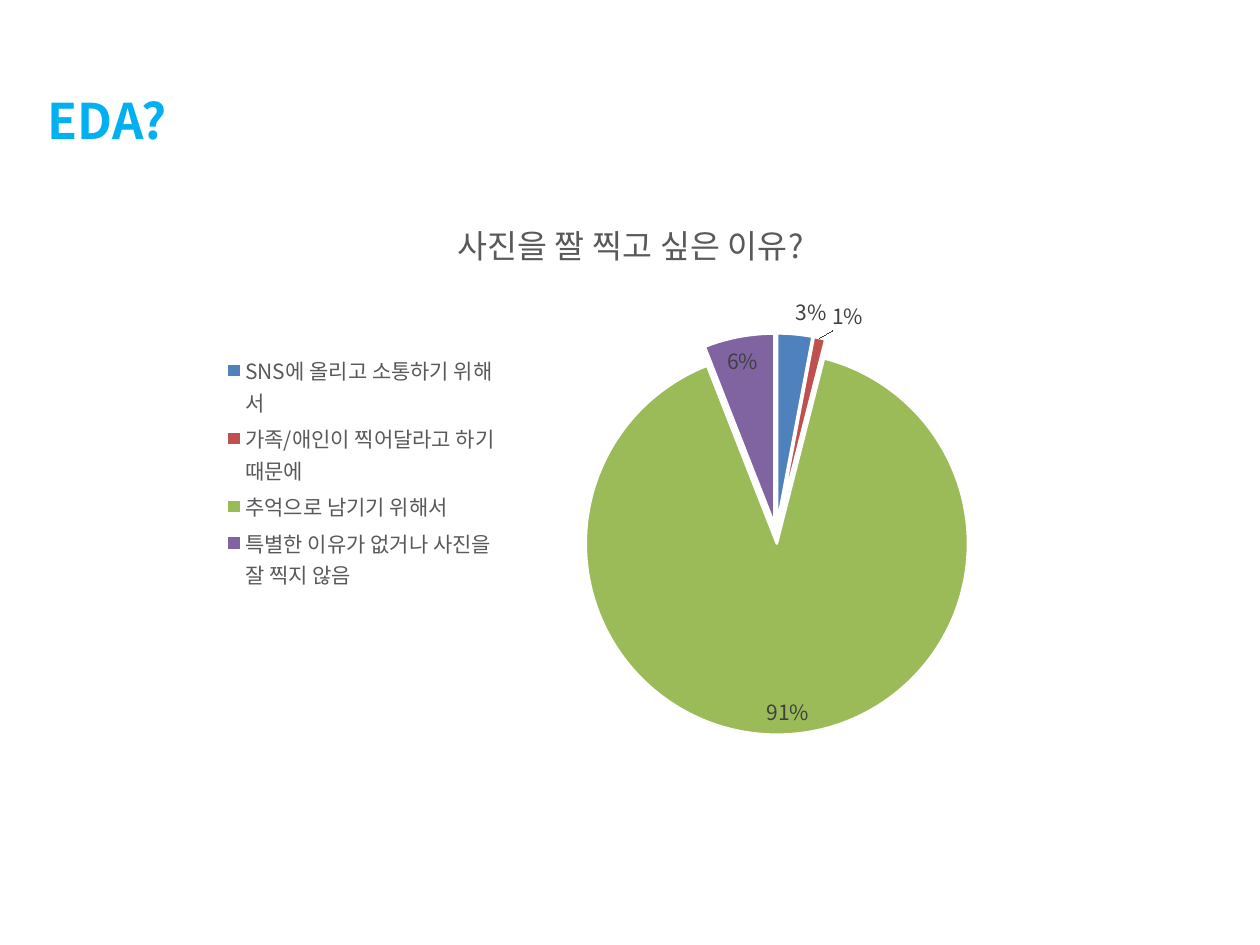
from pptx import Presentation
from pptx.chart.data import CategoryChartData
from pptx.dml.color import RGBColor
from pptx.enum.chart import XL_CHART_TYPE, XL_LABEL_POSITION, XL_LEGEND_POSITION
from pptx.enum.text import MSO_ANCHOR, PP_ALIGN
from pptx.oxml import parse_xml
from pptx.oxml.ns import nsdecls
from pptx.util import Inches, Pt

PIE = XL_CHART_TYPE.PIE
BEST_FIT = XL_LABEL_POSITION.BEST_FIT
LEFT_LEGEND = XL_LEGEND_POSITION.LEFT
MIDDLE = MSO_ANCHOR.MIDDLE
LEFT = PP_ALIGN.LEFT

FONT = "Noto Sans CJK KR"
SKY = RGBColor(0x00, 0xB0, 0xF0)
BLACK = RGBColor(0x00, 0x00, 0x00)
WHITE = RGBColor(0xFF, 0xFF, 0xFF)
GRAY = RGBColor(0x59, 0x59, 0x59)
DARK_GRAY = RGBColor(0x40, 0x40, 0x40)
BLUE = RGBColor(0x4F, 0x81, 0xBD)
RED = RGBColor(0xC0, 0x50, 0x4D)
GREEN = RGBColor(0x9B, 0xBB, 0x59)
PURPLE = RGBColor(0x80, 0x64, 0xA2)

QUESTION = "사진을 짤 찍고 싶은 이유?"
REASONS = [
    ("SNS에 올리고 소통하기 위해서", 3, BLUE),
    ("가족/애인이 찍어달라고 하기 때문에", 1, RED),
    ("추억으로 남기기 위해서", 91, GREEN),
    ("특별한 이유가 없거나 사진을 잘 찍지 않음", 6, PURPLE),
]


def style_font(font, size, color, bold=False):
    font.name = FONT
    font.size = Pt(size)
    font.bold = bold
    font.color.rgb = color


prs = Presentation()
prs.slide_width = Inches(10)
prs.slide_height = Inches(7.5)
slide = prs.slides.add_slide(prs.slide_layouts[5])

# Heading
heading = slide.shapes.title
heading_box = {"left": 0.28, "top": 0.6, "width": 7.87, "height": 0.71}
for side, length in heading_box.items():
    setattr(heading, side, Inches(length))
heading.text_frame.text = "EDA?"
heading.text_frame.vertical_anchor = MIDDLE
heading_line = heading.text_frame.paragraphs[0]
heading_line.alignment = LEFT
style_font(heading_line.runs[0].font, 28, SKY, bold=True)

# Pie of reasons
survey = CategoryChartData()
survey.categories = [reason for reason, _, _ in REASONS]
survey.add_series(QUESTION, [share for _, share, _ in REASONS])
chart = slide.shapes.add_chart(
    PIE, Inches(1.67), Inches(1.53), Inches(6.67), Inches(4.44), survey
).chart
style_font(chart.font, 10, BLACK)

chart.has_title = True
chart.chart_title.text_frame.text = QUESTION
chart.chart_title.include_in_layout = False
style_font(chart.chart_title.text_frame.paragraphs[0].runs[0].font, 18.6, GRAY)

chart.has_legend = True
chart.legend.position = LEFT_LEGEND
chart.legend.include_in_layout = False
style_font(chart.legend.font, 12, GRAY)

pie = chart.plots[0]
pie.vary_by_categories = True
slices = pie.series[0]
for index, (_, _, color) in enumerate(REASONS):
    wedge = slices.points[index].format
    wedge.fill.solid()
    wedge.fill.fore_color.rgb = color
    wedge.line.color.rgb = WHITE
    wedge.line.width = Pt(1.5)

# Pull all slices apart; the schema puts explosion before the points
first_point = slices.points[0].format and slices._element.find(
    "{http://schemas.openxmlformats.org/drawingml/2006/chart}dPt"
)
first_point.addprevious(parse_xml(f'<c:explosion {nsdecls("c")} val="5"/>'))

# The shares are whole percentages that add up to 101 after rounding
pie.has_data_labels = True
labels = pie.data_labels
label_format = {
    "show_value": True,
    "show_percentage": False,
    "number_format": '0"%"',
    "number_format_is_linked": False,
    "position": BEST_FIT,
}
for setting, value in label_format.items():
    setattr(labels, setting, value)
style_font(labels.font, 12, DARK_GRAY)

prs.save("out.pptx")
